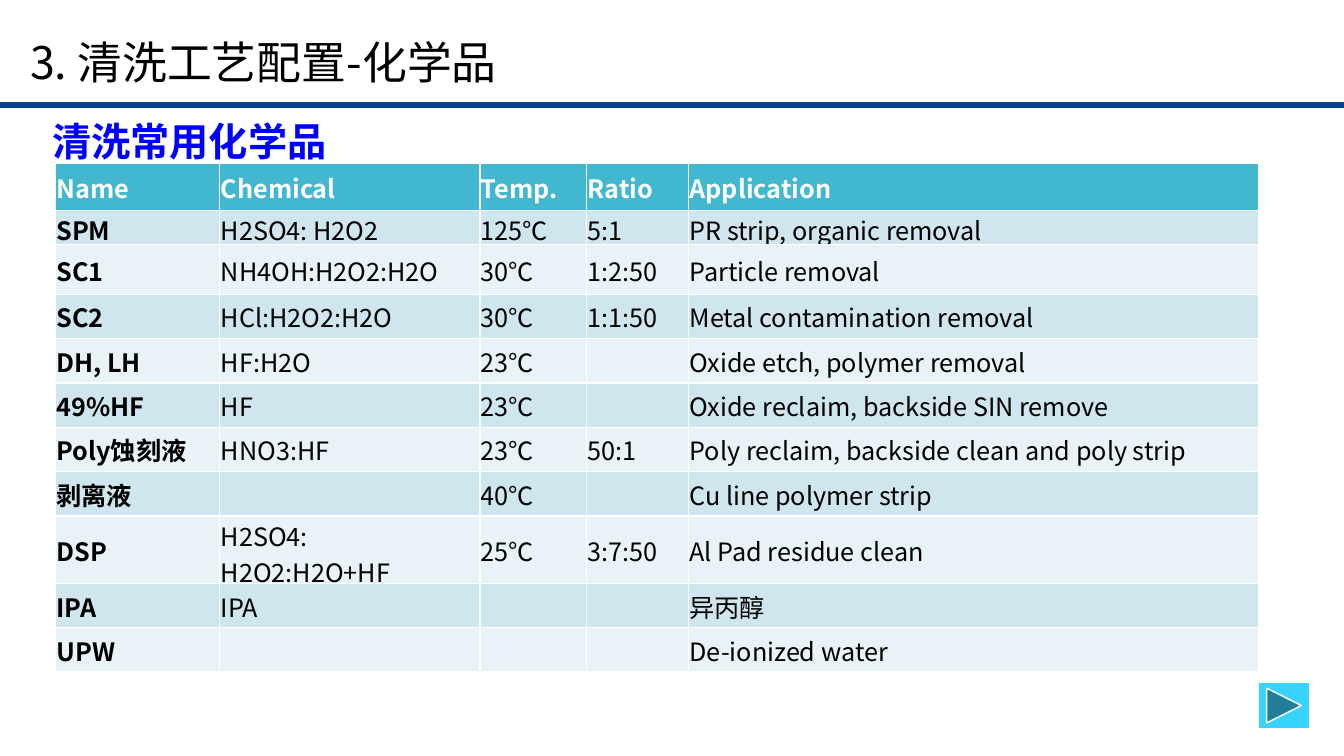
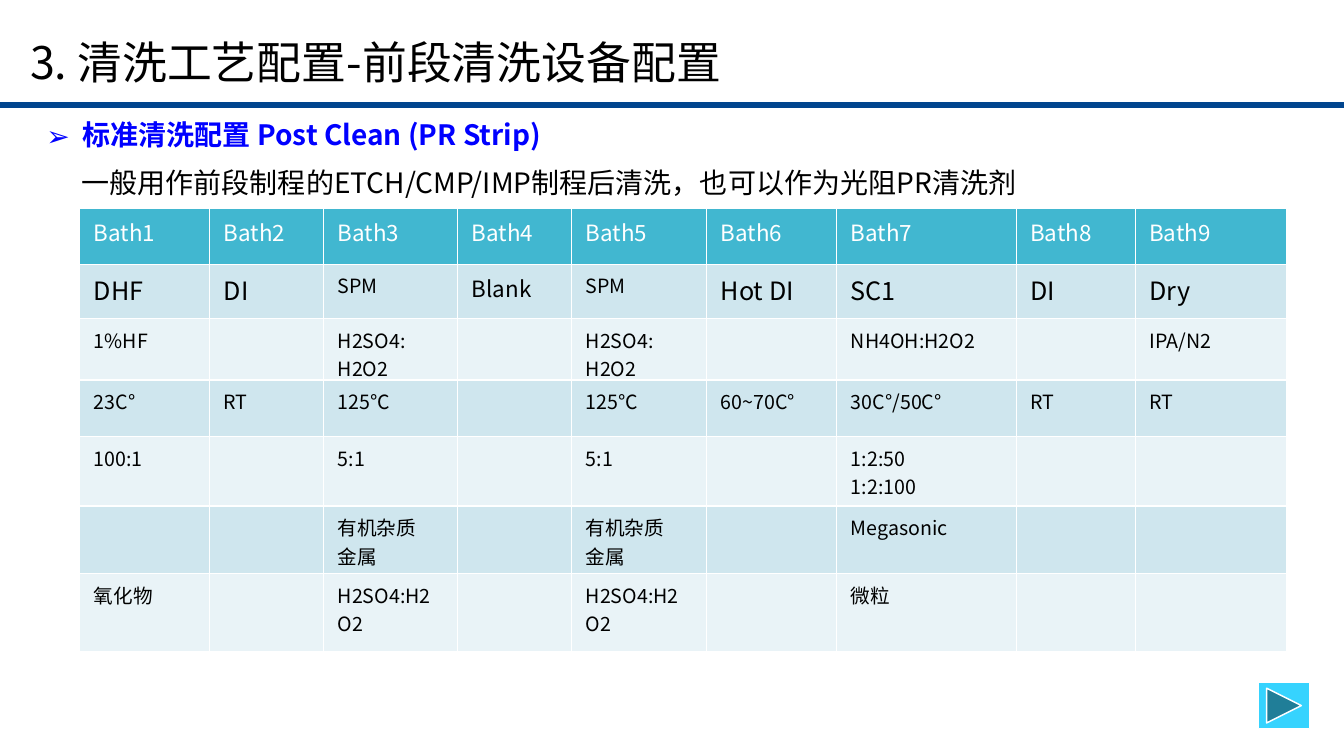
"""Build two slides on wafer cleaning chemicals and bath setup."""
from dataclasses import dataclass, field

from lxml.etree import SubElement as Sub
from pptx import Presentation
from pptx.dml.color import RGBColor as Rgb
from pptx.enum.shapes import MSO_CONNECTOR as Link, MSO_SHAPE as Form
from pptx.enum.text import MSO_ANCHOR as Anchor
from pptx.oxml.ns import qn
from pptx.slide import Slide
from pptx.text.text import _Paragraph as Para
from pptx.util import Inches, Pt


@dataclass(frozen=True)
class Theme:
    font: str = "Noto Sans CJK SC"
    black: str = "000000"
    white: str = "FFFFFF"
    blue: str = "0000FF"
    rule: str = "01458E"
    head: str = "41B7D0"
    bands: tuple[str, str] = ("CFE6EE", "E9F3F7")
    button: str = "36D3FE"
    title: int = 32
    topic: int = 28
    lead: int = 20
    large: int = 18
    mid: int = 16
    small: int = 14


THEME = Theme()


@dataclass(frozen=True)
class Box:
    left: float
    top: float
    width: float
    height: float

    def place(self) -> tuple[int, ...]:
        return tuple(Inches(n) for n in (self.left, self.top, self.width, self.height))


@dataclass(frozen=True)
class Note:
    text: str
    box: Box
    size: int
    color: str = THEME.black
    bold: bool = False
    pad: tuple[float, float] = (0.14, 0.07)
    inset: float = 0
    bullet: str = ""
    space: float = 1.0


@dataclass(frozen=True)
class Grid:
    box: Box
    cols: tuple[float, ...]
    heights: tuple[float, ...]
    rows: tuple[tuple[str, ...], ...]
    pads: tuple[float, float, float, float]
    anchor: Anchor
    top_size: int
    size: int
    bold: bool = False
    sizes: dict[tuple[int, int], int] = field(default_factory=dict)


def add_run(para: Para, text: str, size: int, color: str, bold: bool) -> None:
    run = para.add_run()
    run.text = text
    font = run.font
    font.name, font.size, font.bold = THEME.font, Pt(size), bold
    font.color.rgb = Rgb.from_string(color)
    Sub(font._element, qn("a:ea"), typeface=THEME.font)


def add_note(slide: Slide, note: Note) -> None:
    frame = slide.shapes.add_textbox(*note.box.place()).text_frame
    frame.word_wrap = True
    frame.vertical_anchor = Anchor.MIDDLE
    side, edge = note.pad
    frame.margin_left = Inches(side + note.inset)
    frame.margin_right = Inches(side)
    frame.margin_top = frame.margin_bottom = Inches(edge)
    para = frame.paragraphs[0]
    para.line_spacing = note.space
    if note.bullet:
        props = para._p.get_or_add_pPr()
        hang = Inches(0.36)
        props.set("marL", str(hang))
        props.set("indent", str(-hang))
        Sub(props, qn("a:buFont"), typeface=THEME.font)
        Sub(props, qn("a:buChar"), char=note.bullet)
    add_run(para, note.text, note.size, note.color, note.bold)


def add_edge(props, side: str) -> None:
    line = Sub(props, qn(f"a:ln{side}"), w=str(Pt(1)))
    Sub(Sub(line, qn("a:solidFill")), qn("a:srgbClr"), val=THEME.white)


def add_grid(slide: Slide, grid: Grid) -> None:
    shape = slide.shapes.add_table(len(grid.rows), len(grid.cols), *grid.box.place())
    table = shape.table
    table.first_row = table.horz_banding = False
    for col, width in zip(table.columns, grid.cols):
        col.width = Inches(width)
    for row, height in zip(table.rows, grid.heights):
        row.height = Inches(height)
    for r, texts in enumerate(grid.rows):
        top = r == 0
        fill = THEME.head if top else THEME.bands[(r - 1) % 2]
        color = THEME.white if top else THEME.black
        base = grid.top_size if top else grid.size
        for c, text in enumerate(texts):
            cell = table.cell(r, c)
            cell.vertical_anchor = grid.anchor
            (cell.margin_left, cell.margin_top,
             cell.margin_right, cell.margin_bottom) = map(Inches, grid.pads)
            props = cell._tc.get_or_add_tcPr()
            for side in "LRTB":
                add_edge(props, side)
            cell.fill.solid()
            cell.fill.fore_color.rgb = Rgb.from_string(fill)
            frame = cell.text_frame
            for i, part in enumerate(text.split("\n") if text else ()):
                para = frame.add_paragraph() if i else frame.paragraphs[0]
                bold = grid.bold and (top or c == 0)
                add_run(para, part, grid.sizes.get((r, c), base), color, bold)


def add_base(slide: Slide, title: str) -> None:
    rule = slide.shapes.add_connector(
        Link.STRAIGHT, 0, Inches(1.04), Inches(13.35), Inches(1.04))
    rule.line.width = Pt(4.5)
    rule.line.color.rgb = Rgb.from_string(THEME.rule)
    Sub(rule._element.spPr, qn("a:effectLst"))
    add_note(slide, Note(title, Box(0.2, 0.32, 12.8, 0.65), THEME.title,
                         pad=(0.1, 0.05), space=0.9))


def add_next(slide: Slide) -> None:
    shape = slide.shapes.add_shape(
        Form.ACTION_BUTTON_FORWARD_OR_NEXT, *Box(12.48, 6.77, 0.51, 0.46).place())
    shape.shadow.inherit = False
    shape.fill.solid()
    shape.fill.fore_color.rgb = Rgb.from_string(THEME.button)
    shape.line.color.rgb = Rgb.from_string(THEME.white)
    shape.line.width = Pt(1)


CHEMS = Grid(
    Box(0.55, 1.62, 11.93, 5.05),
    (1.63, 2.58, 1.06, 1.01, 5.65),
    (0.47, 0.34, 0.49, *[0.44] * 5, 0.67, 0.44, 0.44),
    (
        ("Name", "Chemical", "Temp.", "Ratio", "Application"),
        ("SPM", "H2SO4: H2O2", "125℃", "5:1", "PR strip, organic removal"),
        ("SC1", "NH4OH:H2O2:H2O", "30℃", "1:2:50", "Particle removal"),
        ("SC2", "HCl:H2O2:H2O", "30℃", "1:1:50", "Metal contamination removal"),
        ("DH, LH", "HF:H2O", "23℃", "", "Oxide etch, polymer removal"),
        ("49%HF", "HF", "23℃", "", "Oxide reclaim, backside SIN remove"),
        ("Poly蚀刻液", "HNO3:HF", "23℃", "50:1",
         "Poly reclaim, backside clean and poly strip"),
        ("剥离液", "", "40℃", "", "Cu line polymer strip"),
        ("DSP", "H2SO4: H2O2:H2O+HF", "25℃", "3:7:50", "Al Pad residue clean"),
        ("IPA", "IPA", "", "", "异丙醇"),
        ("UPW", "", "", "", "De-ionized water"),
    ),
    (0.01, 0.01, 0.01, 0), Anchor.MIDDLE, THEME.large, THEME.large, bold=True)

BATHS = Grid(
    Box(0.79, 2.07, 11.97, 4.4),
    (1.29, 1.13, 1.33, 1.13, 1.34, 1.29, 1.78, 1.18, 1.5),
    (0.55, 0.54, 0.61, 0.56, 0.69, 0.67, 0.78),
    (
        tuple(f"Bath{n}" for n in range(1, 10)),
        ("DHF", "DI", "SPM", "Blank", "SPM", "Hot DI", "SC1", "DI", "Dry"),
        ("1%HF", "", "H2SO4:\nH2O2", "", "H2SO4:\nH2O2", "", "NH4OH:H2O2", "", "IPA/N2"),
        ("23C°", "RT", "125℃", "", "125℃", "60~70C°", "30C°/50C°", "RT", "RT"),
        ("100:1", "", "5:1", "", "5:1", "", "1:2:50\n1:2:100", "", ""),
        ("", "", "有机杂质\n金属", "", "有机杂质\n金属", "", "Megasonic", "", ""),
        ("氧化物", "", "H2SO4:H2O2", "", "H2SO4:H2O2", "", "微粒", "", ""),
    ),
    (0.14, 0.07, 0.14, 0), Anchor.TOP, THEME.mid, THEME.small,
    sizes={(1, 3): THEME.mid} | {(1, c): THEME.large for c in (0, 1, 5, 6, 7, 8)})

PAGES = (
    ("3. 清洗工艺配置-化学品",
     (Note("清洗常用化学品", Box(0.2, 1.09, 3.27, 0.61), THEME.topic, THEME.blue,
           True, inset=0.18),),
     CHEMS),
    ("3. 清洗工艺配置-前段清洗设备配置",
     (Note("标准清洗配置 Post Clean (PR Strip)", Box(0.32, 1.09, 13.43, 0.48),
           THEME.lead, THEME.blue, True, bullet="➢"),
      Note("一般用作前段制程的ETCH/CMP/IMP制程后清洗，也可以作为光阻PR清洗剂",
           Box(0.67, 1.57, 11.2, 0.48), THEME.lead)),
     BATHS),
)


def main() -> None:
    deck = Presentation()
    deck.slide_width, deck.slide_height = Inches(13.33), Inches(7.5)
    for title, notes, grid in PAGES:
        slide = deck.slides.add_slide(deck.slide_layouts[6])
        add_base(slide, title)
        for note in notes:
            add_note(slide, note)
        add_grid(slide, grid)
        add_next(slide)
    deck.save("out.pptx")


if __name__ == "__main__":
    main()
